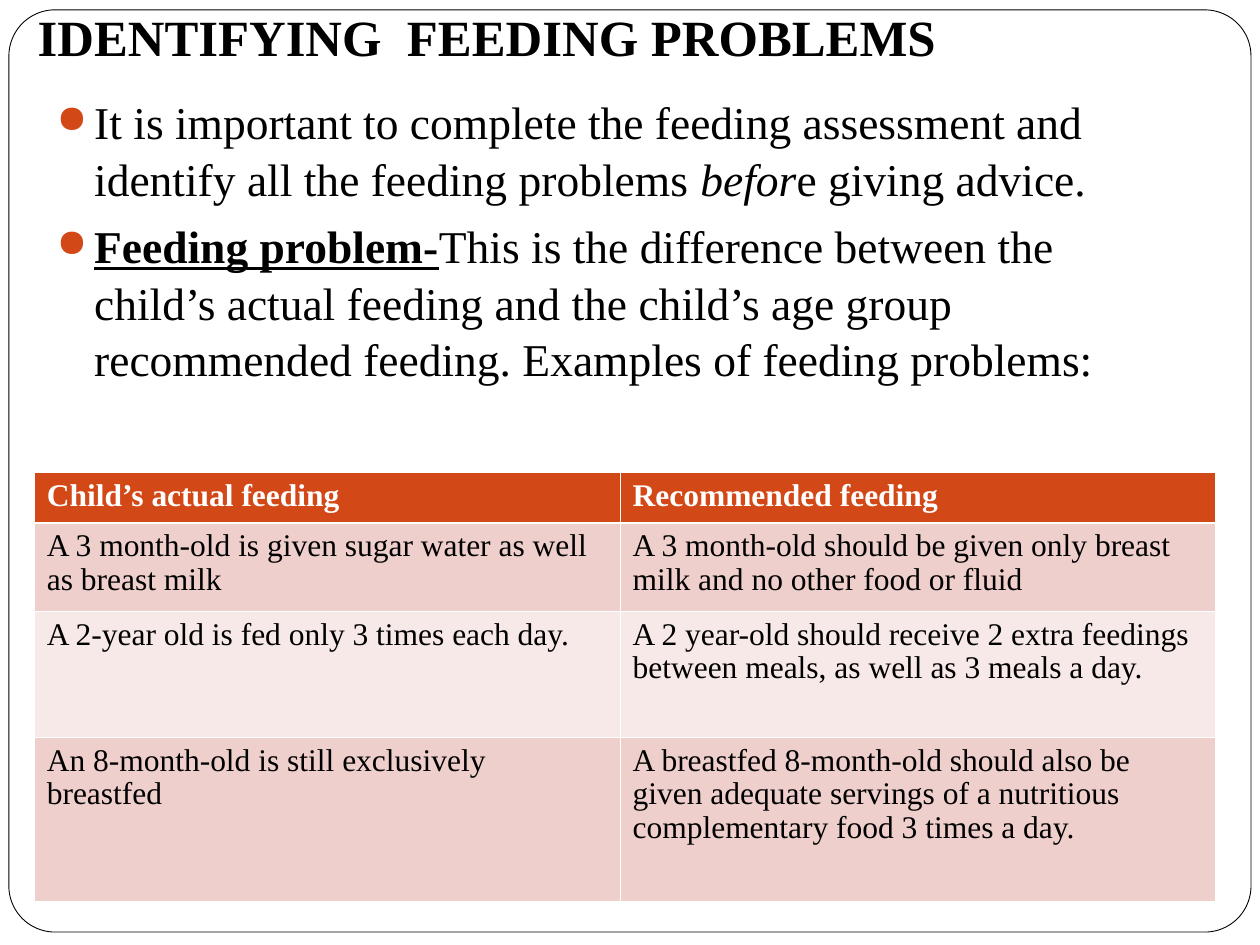
from lxml.etree import SubElement
from pptx import Presentation
from pptx.dml.color import RGBColor
from pptx.enum.shapes import MSO_SHAPE as Shape
from pptx.enum.text import MSO_ANCHOR as Anchor
from pptx.oxml import parse_xml
from pptx.oxml.ns import nsdecls, qn
from pptx.util import Cm, Pt

BLACK = RGBColor(0x00, 0x00, 0x00)
WHITE = RGBColor(0xFF, 0xFF, 0xFF)
ORANGE = RGBColor(0xD3, 0x48, 0x17)
ROSE = RGBColor(0xEF, 0xCF, 0xCC)
PALE_ROSE = RGBColor(0xF7, 0xE9, 0xE7)

TITLE = {"size": Pt(29), "bold": True}
BODY = {"size": Pt(26)}
CELL = {"size": Pt(18)}
HEADER = {"size": Pt(18), "bold": True}

BULLETS = [
    [("It is important to complete the feeding assessment and identify all the feeding problems ", {}),
     ("befor", {"italic": True}),
     ("e giving advice.", {})],
    [("Feeding problem-", {"bold": True, "underline": True}),
     ("This is the difference between the child’s actual feeding and the child’s age group "
      "recommended feeding. Examples of feeding problems:", {})],
]
FEEDING_ROWS = [
    ("Child’s actual feeding", "Recommended feeding"),
    ("A 3 month-old is given sugar water as well as breast milk",
     "A 3 month-old should be given only breast milk and no other food or fluid"),
    ("A 2-year old is fed only 3 times each day.",
     "A 2 year-old should receive 2 extra feedings between meals, as well as 3 meals a day."),
    ("An 8-month-old is still exclusively breastfed",
     "A breastfed 8-month-old should also be given adequate servings of a nutritious "
     "complementary food 3 times a day."),
]
COLUMN_WIDTHS = [11.81, 11.99]
ROW_HEIGHTS = [1.02, 1.78, 2.54, 3.3]
ROW_FILLS = [ORANGE, ROSE, PALE_ROSE, ROSE]


def add_run(paragraph, text, formats, color=BLACK):
    run = paragraph.add_run()
    run.text = text
    run.font.name = "Times New Roman"
    run.font.color.rgb = color
    for name, value in formats.items():
        setattr(run.font, name, value)


def add_frame(slide):
    shape = slide.shapes.add_shape(Shape.ROUNDED_RECTANGLE, Cm(0.18), Cm(0.2), Cm(25.04), Cm(18.59))
    shape.adjustments[0] = 0.05
    shape.shadow.inherit = False
    shape.fill.solid()
    shape.fill.fore_color.rgb = WHITE
    shape.line.color.rgb = BLACK
    shape.line.width = Pt(0.5)


def add_text_box(slide, left, top, width, height):
    text_frame = slide.shapes.add_textbox(Cm(left), Cm(top), Cm(width), Cm(height)).text_frame
    text_frame.word_wrap = True
    return text_frame


def add_title(slide, text):
    text_frame = add_text_box(slide, 0.51, 0, 22.86, 1.6)
    text_frame.vertical_anchor = Anchor.BOTTOM
    text_frame.margin_bottom = Cm(0.25)
    add_run(text_frame.paragraphs[0], text, TITLE)


def set_bullet(paragraph):
    properties = paragraph._p.get_or_add_pPr()
    properties.set("marL", str(Cm(0.76)))
    properties.set("indent", str(-Cm(0.76)))
    color = SubElement(properties, qn("a:buClr"))
    SubElement(color, qn("a:srgbClr"), val=str(ORANGE))
    SubElement(properties, qn("a:buSzPct"), val="85000")
    SubElement(properties, qn("a:buChar"), char="●")


def add_bullets(slide, bullets):
    text_frame = add_text_box(slide, 0.89, 1.73, 22.86, 14.4)
    for index, runs in enumerate(bullets):
        paragraph = text_frame.add_paragraph() if index else text_frame.paragraphs[0]
        set_bullet(paragraph)
        paragraph.line_spacing = 1.04
        if index:
            paragraph.space_before = Pt(5.8)
        for text, formats in runs:
            add_run(paragraph, text, BODY | formats)


def set_borders(cell, widths):
    properties = cell._tc.get_or_add_tcPr()
    for index, (side, width) in enumerate(widths.items()):
        properties.insert(index, parse_xml(
            f'<a:ln{side} {nsdecls("a")} w="{Pt(width)}"><a:solidFill>'
            f'<a:srgbClr val="{WHITE}"/></a:solidFill></a:ln{side}>'))


def add_feeding_table(slide):
    table = slide.shapes.add_table(len(FEEDING_ROWS), len(COLUMN_WIDTHS), Cm(0.69), Cm(9.53),
                                   Cm(sum(COLUMN_WIDTHS)), Cm(sum(ROW_HEIGHTS))).table
    for column, width in zip(table.columns, COLUMN_WIDTHS):
        column.width = Cm(width)
    for index, (row, texts) in enumerate(zip(table.rows, FEEDING_ROWS)):
        row.height = Cm(ROW_HEIGHTS[index])
        formats, color = (CELL, BLACK) if index else (HEADER, WHITE)
        borders = {"L": 0.45, "R": 0.45, "T": 1.47 if index == 1 else 0.45, "B": 0.45 if index else 1.47}
        for cell, text in zip(row.cells, texts):
            cell.fill.solid()
            cell.fill.fore_color.rgb = ROW_FILLS[index]
            set_borders(cell, borders)
            paragraph = cell.text_frame.paragraphs[0]
            paragraph.line_spacing = 0.97
            add_run(paragraph, text, formats, color)


def main():
    """Build the slide on identifying feeding problems."""
    presentation = Presentation()
    presentation.slide_width, presentation.slide_height = Cm(25.4), Cm(19.05)
    slide = presentation.slides.add_slide(presentation.slide_layouts[6])
    add_frame(slide)
    add_title(slide, "IDENTIFYING  FEEDING PROBLEMS")
    add_bullets(slide, BULLETS)
    add_feeding_table(slide)
    presentation.save("out.pptx")


if __name__ == "__main__":
    main()
